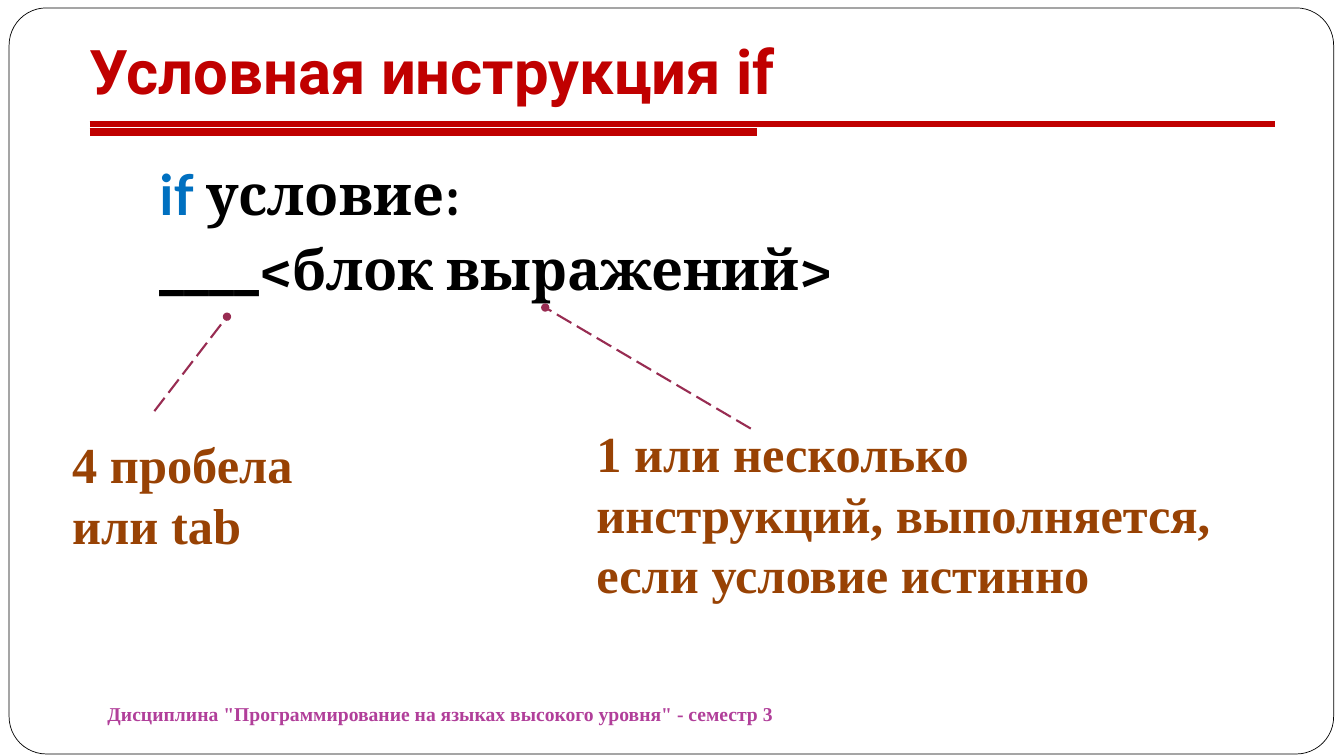
from pptx import Presentation
from pptx.dml.color import RGBColor
from pptx.enum.dml import MSO_LINE
from pptx.enum.shapes import MSO_CONNECTOR, MSO_SHAPE
from pptx.enum.text import MSO_ANCHOR, MSO_AUTO_SIZE, PP_ALIGN
from pptx.oxml.ns import qn
from pptx.util import Cm, Pt
from lxml.etree import SubElement

RED, BLUE, BLACK, WHITE = "C00000", "0070C0", "000000", "FFFFFF"
BROWN, PURPLE, CRIMSON = "984204", "B13F9A", "982C52"
SERIF = "Times New Roman"

TITLE = "Условная инструкция if"
CODE = [
    [("if ", "Lato", BLUE), ("условие:", "Cambria", BLACK)],
    [("____", "Roboto", BLACK), ("<блок выражений>", "Cambria", BLACK)],
]
FOOTER = 'Дисциплина "Программирование на языках высокого уровня" - семестр 3'
RULES = [((2.26, 3.12), (32.13, 3.12), 4.5), ((2.26, 3.33), (19.08, 3.33), 6)]
CALLOUTS = [
    ("4 пробела или tab", (1.57, 10.8, 6.68, 3.33), (3.89, 10.36), (5.72, 7.98)),
    ("1 или несколько инструкций, выполняется, если условие истинно",
     (14.78, 10.52, 16, 6.4), (18.92, 10.8), (13.74, 7.75)),
]


def color(value):
    return RGBColor.from_string(value)


def format_span(span, font, size, hue):
    span.font.name = font
    span.font.size = Pt(size)
    span.font.bold = True
    span.font.color.rgb = color(hue)


def place(shape, area):
    shape.left, shape.top, shape.width, shape.height = map(Cm, area)
    shape.text_frame.word_wrap = True
    shape.text_frame.auto_size = MSO_AUTO_SIZE.NONE


def add_label(page, text, area, size, hue, anchor):
    box = page.shapes.add_textbox(*map(Cm, area))
    place(box, area)
    box.text_frame.vertical_anchor = anchor
    box.text_frame.text = text
    format_span(box.text_frame.paragraphs[0].runs[0], SERIF, size, hue)


def add_line(page, start, end, width, hue):
    line = page.shapes.add_connector(MSO_CONNECTOR.STRAIGHT, *map(Cm, start + end))
    line.line.width = Pt(width)
    line.line.color.rgb = color(hue)
    SubElement(line.element.spPr, qn("a:effectLst"))
    return line


def add_frame(page):
    frame = page.shapes.add_shape(
        MSO_SHAPE.ROUNDED_RECTANGLE, *map(Cm, (0.23, 0.2, 33.38, 18.8)))
    frame.adjustments[0] = 0.05
    frame.shadow.inherit = False
    frame.fill.solid()
    frame.fill.fore_color.rgb = color(WHITE)
    frame.line.color.rgb = color(BLACK)
    frame.line.width = Pt(0.5)
    page.shapes.title.element.addprevious(frame.element)


def fill_title(title):
    place(title, (2.01, 0.36, 30.4, 2.57))
    frame = title.text_frame
    frame.vertical_anchor = MSO_ANCHOR.BOTTOM
    frame.margin_bottom = Cm(0.25)
    frame.text = TITLE
    frame.paragraphs[0].alignment = PP_ALIGN.LEFT
    format_span(frame.paragraphs[0].runs[0], "Roboto", 44, RED)


def fill_code(body):
    place(body, (3.76, 3.89, 23.19, 14.64))
    frame = body.text_frame
    frame.text = "\n".join("".join(part[0] for part in parts) for parts in CODE)
    for para, parts in zip(frame.paragraphs, CODE):
        para.text = ""
        para.space_before = Pt(5.8)
        properties = para._p.get_or_add_pPr()
        properties.set("marL", "0")
        properties.set("indent", "0")
        SubElement(properties, qn("a:buNone"))
        for text, font, hue in parts:
            span = para.add_run()
            span.text = text
            format_span(span, font, 40, hue)


def add_callout(page, text, area, start, end):
    line = add_line(page, start, end, 1.5, CRIMSON)
    line.line.dash_style = MSO_LINE.LONG_DASH
    SubElement(line.line._get_or_add_ln(), qn("a:tailEnd"), type="oval")
    add_label(page, text, area, 36, BROWN, MSO_ANCHOR.TOP)


def main():
    deck = Presentation()
    deck.slide_width, deck.slide_height = Cm(33.87), Cm(19.05)
    page = deck.slides.add_slide(deck.slide_layouts[1])
    add_frame(page)
    fill_title(page.shapes.title)
    fill_code(page.placeholders[1])
    for start, end, width in RULES:
        add_line(page, start, end, width, RED)
    add_label(page, FOOTER, (2.46, 17.35, 18.8, 1.27), 14, PURPLE, MSO_ANCHOR.MIDDLE)
    for callout in CALLOUTS:
        add_callout(page, *callout)
    deck.save("out.pptx")


if __name__ == "__main__":
    main()
